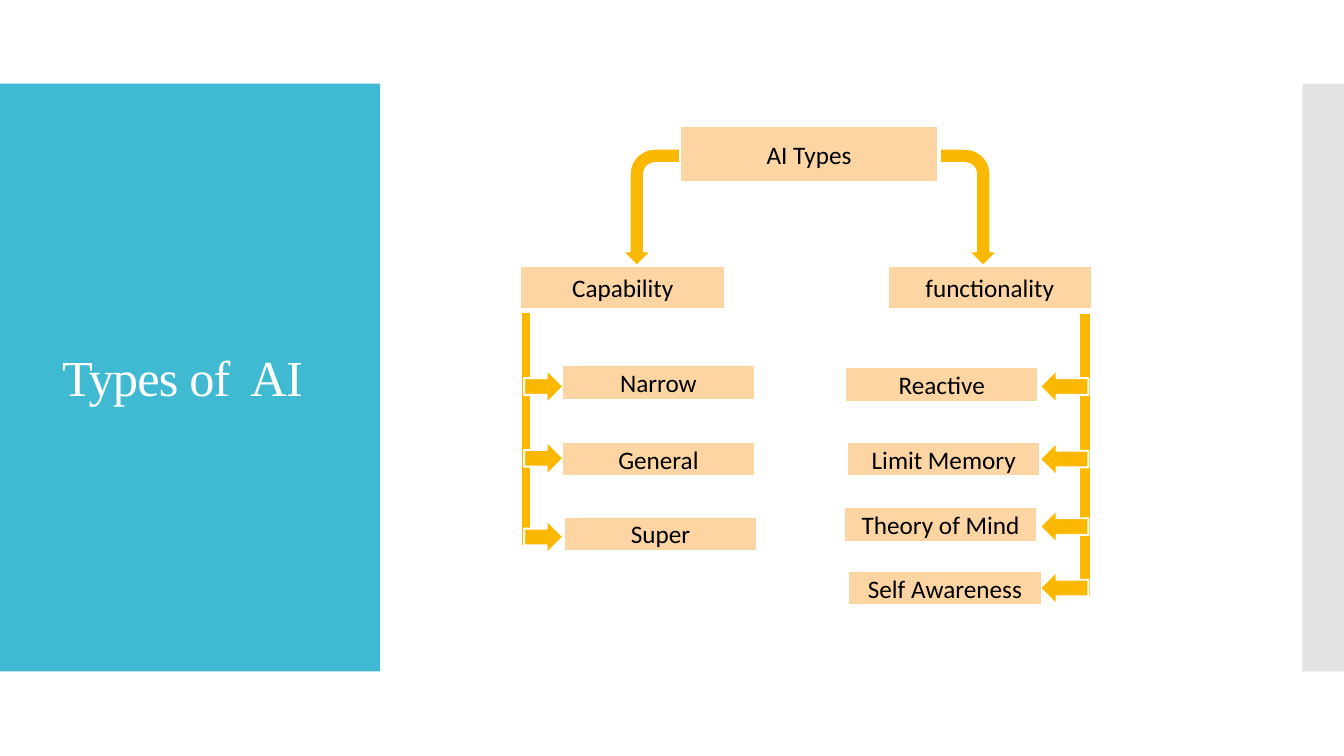
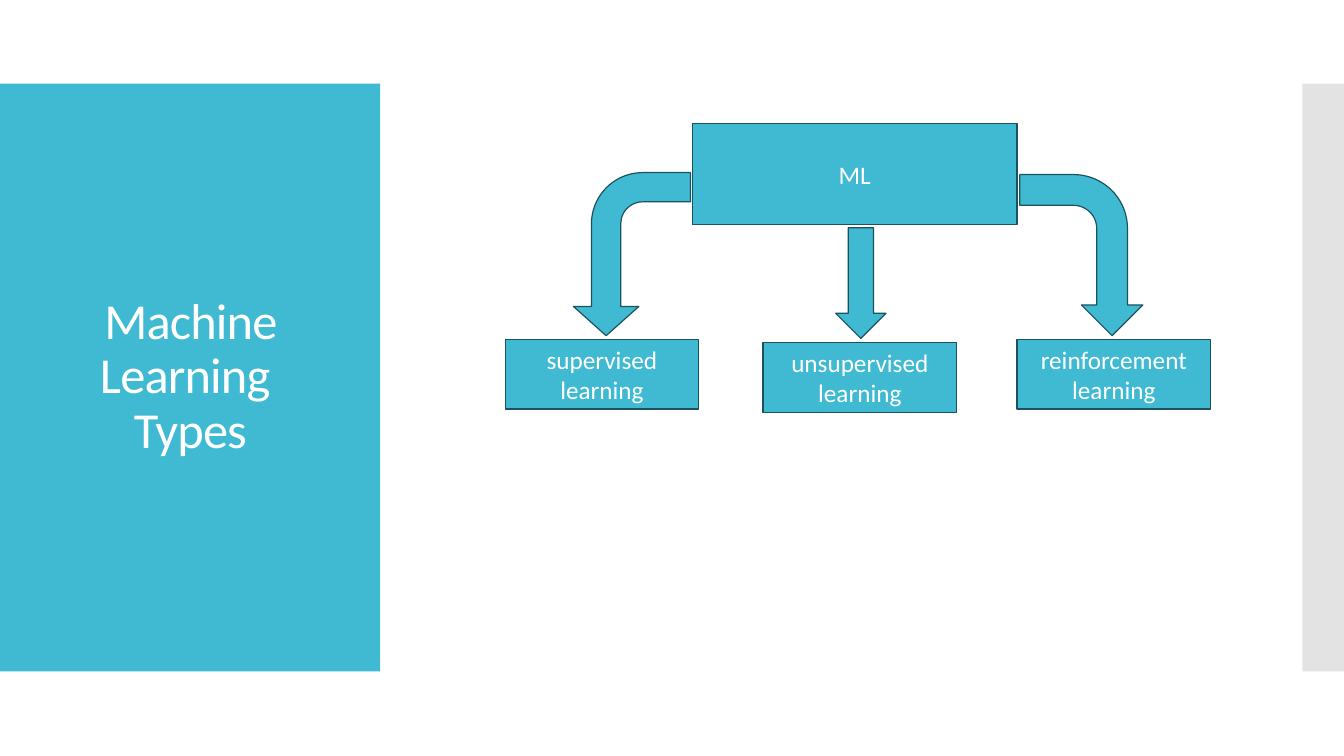
from copy import deepcopy

from pptx import Presentation
from pptx.dml.color import RGBColor
from pptx.enum.shapes import MSO_SHAPE as SHAPE
from pptx.enum.text import MSO_ANCHOR as ANCHOR, MSO_AUTO_SIZE as AUTO, PP_ALIGN as ALIGN
from pptx.oxml.ns import qn
from pptx.oxml.xmlchemy import OxmlElement
from pptx.util import Cm, Pt

BLUE, NAVY, WHITE, BLACK = "40BAD2", "1C525C", "FFFFFF", "000000"
PEACH, AMBER, GREY = "FCD5A2", "FAB900", "C8C8C8"


def rgb(value):
    """Turn a hex string into a colour."""
    return RGBColor.from_string(value)


def put_text(tf, text, size=18, font="Calibri", color=BLACK, spacing=None, leading=None):
    """Write centred text, with a line break at each newline."""
    tf.word_wrap = True
    tf.auto_size = AUTO.NONE
    tf.vertical_anchor = ANCHOR.MIDDLE
    p = tf.paragraphs[0]
    p.alignment = ALIGN.CENTER
    p.line_spacing = leading
    for i, line in enumerate(text.split("\n")):
        if i:
            p.add_line_break()
        r = p.add_run()
        r.text = line
        r.font.size = Pt(size)
        r.font.name = font
        r.font.color.rgb = rgb(color)
        if spacing is not None:
            r.font._element.set("spc", str(round(spacing * 100)))
    for br in p._p.findall(qn("a:br")):
        br.append(deepcopy(p.runs[0].font._element))


class Deck:
    """The presentation, its shared style and the current slide."""

    def __init__(self):
        """Set the slide size and the layout shared by the slides."""
        self.prs = Presentation()
        self.prs.slide_width, self.prs.slide_height = Cm(33.87), Cm(19.05)
        self.layout = self.prs.slide_layouts.get_by_name("Title Only")
        self.s = None
        self.banded = False

    def slide(self, title, left, top, height, font="Calibri"):
        """Start a slide with its title on the side band."""
        self.s = self.prs.slides.add_slide(self.layout)
        if not self.banded:
            self.bands()
        sp = self.s.shapes.title
        sp.left, sp.top, sp.width, sp.height = Cm(left), Cm(top), Cm(8.18), Cm(height)
        put_text(sp.text_frame, title, size=36, font=font, color=WHITE,
                 spacing=-0.6, leading=0.9)

    def bands(self):
        """Place the two side bands on the layout."""
        tree = self.layout.shapes._spTree
        for i, (left, width, fill) in enumerate([(0, 9.58, BLUE), (32.82, 1.05, GREY)]):
            sp = self.shape(SHAPE.RECTANGLE, left, 2.11, width, 14.81, fill)
            sp._element.nvSpPr.cNvPr.set("id", str(101 + i))
            tree.insert(2 + i, sp._element)
        alpha = OxmlElement("a:alpha")
        alpha.set("val", "50000")
        sp._element.spPr.find(".//" + qn("a:srgbClr")).append(alpha)
        self.banded = True

    def shape(self, kind, left, top, width, height, fill, line=None, weight=0.75):
        """Draw a preset shape."""
        sp = self.s.shapes.add_shape(kind, Cm(left), Cm(top), Cm(width), Cm(height))
        sp.shadow.inherit = False
        sp.fill.solid()
        sp.fill.fore_color.rgb = rgb(fill)
        if line:
            sp.line.color.rgb = rgb(line)
            sp.line.width = Pt(weight)
        else:
            sp.line.fill.background()
        return sp

    def box(self, text, left, top, width, height, fill=PEACH, line=WHITE,
            weight=0.75, color=BLACK):
        """Draw a labelled rectangle."""
        sp = self.shape(SHAPE.RECTANGLE, left, top, width, height, fill, line, weight)
        put_text(sp.text_frame, text, color=color)

    def bent(self, left, top, width, height, fill, line, weight, flip=False, bend=None):
        """Draw a bent arrow that ends pointing down."""
        sp = self.shape(SHAPE.BENT_ARROW, left, top, width, height, fill, line, weight)
        sp.rotation = 90
        if flip:
            sp._element.spPr.find(qn("a:xfrm")).set("flipV", "1")
        if bend:
            sp.adjustments[1] = bend

    def branch(self, bar, arrow, left, width, rows):
        """Draw a vertical bar with an arrow and a box for each row."""
        amber = dict(fill=AMBER, line=WHITE, weight=1.35)
        self.shape(SHAPE.RECTANGLE, *bar, **amber)
        for text, arrow_top, box_left, box_top in rows:
            self.shape(arrow, left, arrow_top, width, 0.84, **amber)
            self.box(text, box_left, box_top, 4.85, 0.84)


def ai_types(deck):
    """Build the tree of AI types."""
    deck.slide("Types of  AI", 0.51, 2.79, 13.59, font="Times New Roman")
    deck.box("AI Types", 17.15, 3.18, 6.48, 1.4)
    for left, flip in [(22.94, False), (14.94, True)]:
        deck.bent(left, 4.5, 2.95, 1.45, AMBER, WHITE, 1.35, flip)
    for text, left in [("Capability", 13.13), ("functionality", 22.38)]:
        deck.box(text, left, 6.71, 5.13, 1.07)
    deck.branch((13.13, 7.87, 0.25, 5.89), SHAPE.RIGHT_ARROW, 13.21, 0.99, [
        ("Narrow", 9.32, 14.17, 9.22),
        ("General", 11.13, 14.17, 11.15),
        ("Super", 13.11, 14.22, 13.03),
    ])
    deck.branch((27.2, 7.9, 0.3, 7.14), SHAPE.LEFT_ARROW, 26.21, 1.22, [
        ("Reactive", 9.32, 21.31, 9.27),
        ("Limit Memory", 11.15, 21.36, 11.15),
        ("Theory of Mind", 12.85, 21.28, 12.8),
        ("Self Awareness", 14.4, 21.39, 14.4),
    ])


def ml_types(deck):
    """Build the tree of machine learning types."""
    deck.slide("Machine Learning \nTypes", 0.71, 3.12, 12.78)
    style = dict(fill=BLUE, line=NAVY, weight=0.85)
    deck.box("ML", 17.45, 3.12, 8.18, 2.54, color=WHITE, **style)
    deck.bent(25.22, 4.88, 4.06, 3.1, **style)
    deck.bent(13.87, 4.93, 4.11, 2.95, flip=True, bend=0.28, **style)
    deck.shape(SHAPE.DOWN_ARROW, 21.06, 5.74, 1.27, 2.79, **style)
    for name, left, top in [("supervised", 12.73, 8.56), ("unsupervised", 19.23, 8.64),
                            ("reinforcement", 25.63, 8.56)]:
        deck.box(f"{name} learning", left, top, 4.88, 1.75, color=WHITE, **style)


def main():
    """Build both slides and save them."""
    deck = Deck()
    ai_types(deck)
    ml_types(deck)
    deck.prs.save("out.pptx")


if __name__ == "__main__":
    main()
